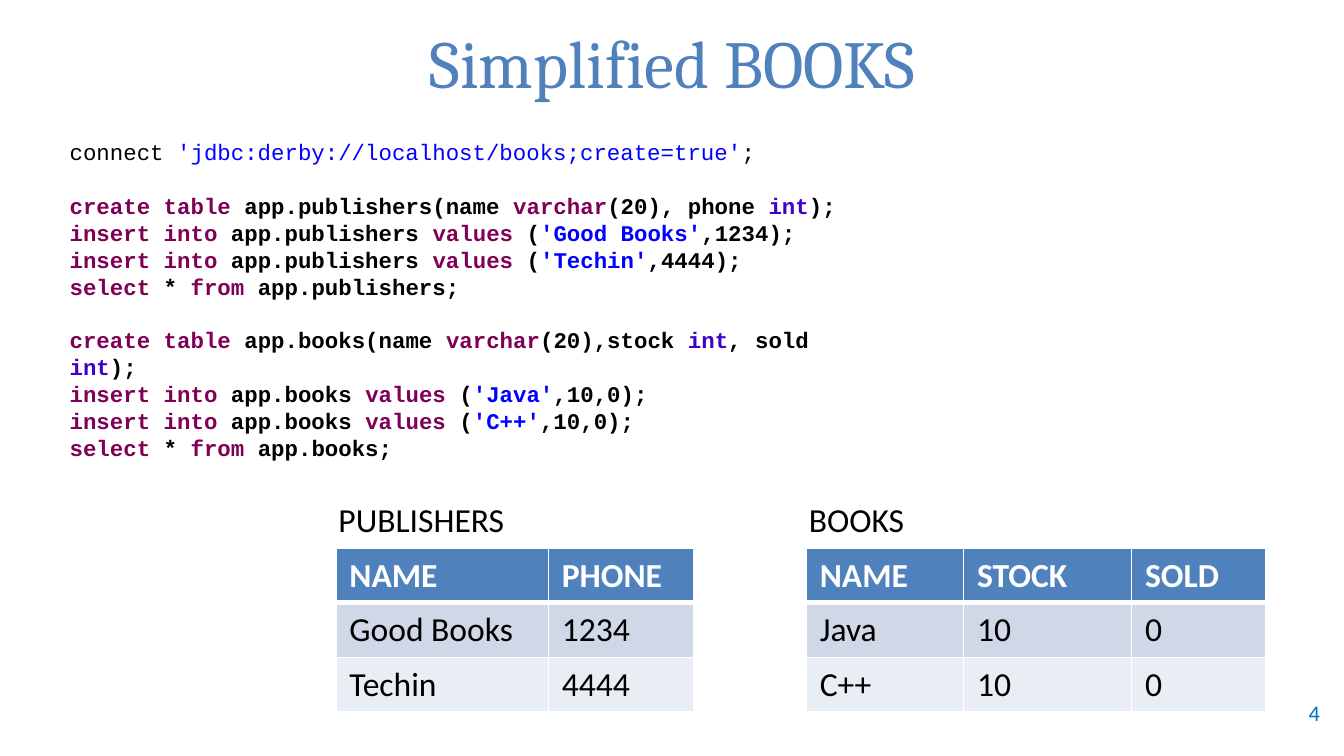
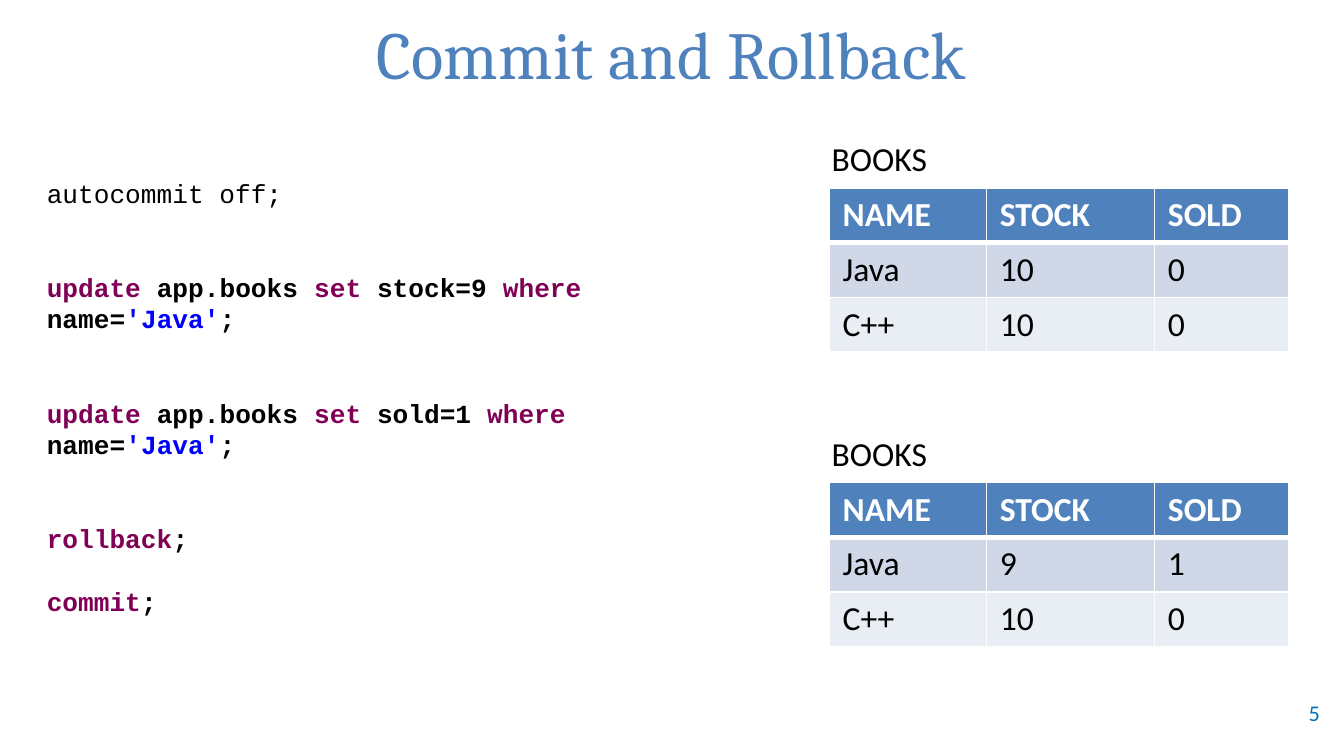
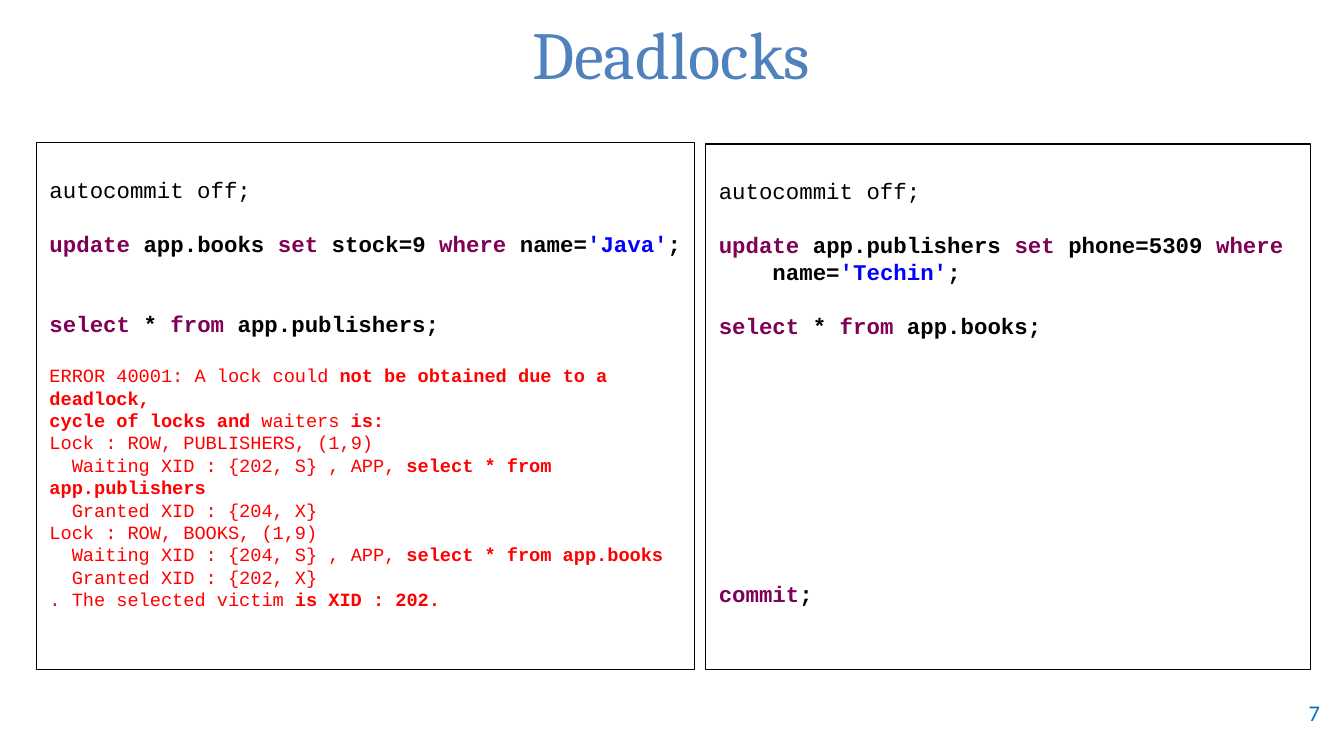
import itertools
import pptx
import pptx.util
import pptx.dml.color
import pptx.enum.shapes
import pptx.enum.text
import pptx.oxml
import pptx.oxml.ns

Inches, Pt = pptx.util.Inches, pptx.util.Pt
RGB = pptx.dml.color.RGBColor
ALIGN = pptx.enum.text.PP_ALIGN
MIDDLE = pptx.enum.text.MSO_ANCHOR.MIDDLE

# Colours and fonts
BLUE = RGB(0x4F, 0x81, 0xBD)
PAGE = RGB(0x00, 0x70, 0xC0)
BLACK = RGB(0, 0, 0)
WHITE = RGB(255, 255, 255)
RED = RGB(255, 0, 0)
STRING = RGB(0, 0, 255)
VERB = RGB(0x7F, 0x00, 0x55)
TYPE = RGB(0x40, 0x00, 0xC8)
BANDS = [RGB(0xD0, 0xD8, 0xE8), RGB(0xE9, 0xED, 0xF4)]
HEAD, BODY, MONO = "Cambria", "Calibri", "Courier New"

VERBS = set("create table varchar insert into values select from "
            "update set where rollback commit".split())
PLAIN = ("connect", "autocommit")
LEAD = 1.2   # line height over type size
TALL = 1.22  # height of a table

# Tables: label, label width, column widths, rows
STOCK = {"name": "BOOKS", "wide": 1.33, "cols": [1.17, 1.25, 1],
         "rows": [("NAME", "STOCK", "SOLD"), ("Java", "10", "0"), ("C++", "10", "0")]}
SOLD = {**STOCK, "rows": [STOCK["rows"][0], ("Java", "9", "1"), ("C++", "10", "0")]}
FIRMS = {"name": "PUBLISHERS", "wide": 1.75, "cols": [1.58, 1.08],
         "rows": [("NAME", "PHONE"), ("Good Books", "1234"), ("Techin", "4444")]}

# Code: (empty lines above, line)
SETUP = [
    (0, "connect 'jdbc:derby://localhost/books;create=true';"),
    (1, "create table app.publishers(name varchar(20), phone int);"),
    (0, "insert into app.publishers values ('Good Books',1234);"),
    (0, "insert into app.publishers values ('Techin',4444);"),
    (0, "select * from app.publishers;"),
    (1, "create table app.books(name varchar(20),stock int, sold int);"),
    (0, "insert into app.books values ('Java',10,0);"),
    (0, "insert into app.books values ('C++',10,0);"),
    (0, "select * from app.books;"),
]
SALE = [
    (0, "autocommit off;"),
    (2, "update app.books set stock=9 where name='Java';"),
    (2, "update app.books set sold=1 where name='Java';"),
    (2, "rollback;"),
    (1, "commit;"),
]
LEFT = [
    (0, "autocommit off;"),
    (1, "update app.books set stock=9 where name='Java';"),
    (2, "select * from app.publishers;"),
]
RIGHT = [
    (0, "autocommit off;"),
    (1, "update app.publishers set phone=5309 where"),
    (0, "    name='Techin';"),
    (1, "select * from app.books;"),
    (9, "commit;"),
]
# A bar switches bold on and off
ERROR = [
    "ERROR 40001: A lock could |not be obtained due to a deadlock,",
    "|cycle of locks and |waiters |is:",
    "Lock : ROW, PUBLISHERS, (1,9)",
    "  Waiting XID : {202, S} , APP, |select * from app.publishers",
    "  Granted XID : {204, X}",
    "Lock : ROW, BOOKS, (1,9)",
    "  Waiting XID : {204, S} , APP, |select * from app.books",
    "  Granted XID : {202, X}",
    ". The selected victim |is XID : 202.",
]

# Slides: boxes are (place, code, type size, empty top lines, framed, error lines)
SLIDES = [
    {"title": "Simplified BOOKS", "place": (0.17, 0.12, 9.67, 0.67), "page": "4",
     "boxes": [((0.42, 0.98, 6.17, 2.32), SETUP, 12, 0, False, [])],
     "tables": [(2.5, 4.08, FIRMS), (6, 4.08, STOCK)]},
    {"title": "Commit and Rollback", "place": (0.08, 0.06, 9.83, 0.67), "page": "5",
     "boxes": [((0.25, 1.07, 5.33, 3.16), SALE, 14, 1, False, [])],
     "tables": [(6.17, 1.4, STOCK), (6.17, 3.59, SOLD)]},
    {"title": "Deadlocks", "place": (0.08, 0.06, 9.83, 0.67), "page": "7",
     "boxes": [((0.27, 1.06, 4.9, 3.92), LEFT, 12, 1, True, ERROR),
               ((5.25, 1.07, 4.5, 3.91), RIGHT, 12, 1, True, [])],
     "tables": []},
]


def put(para, text, size=18, font=BODY, color=BLACK, bold=False, align=ALIGN.LEFT):
    """Add one formatted run to a paragraph."""
    para.alignment = align
    run = para.add_run()
    run.text = text
    run.font.size, run.font.name, run.font.bold = Pt(size), font, bold
    run.font.color.rgb = color


def add_text(slide, place):
    box = slide.shapes.add_textbox(*map(Inches, place))
    box.text_frame.word_wrap = True
    return box.text_frame


def parts(line):
    """Split a line of SQL into (text, colour) parts."""
    for i, piece in enumerate(line.split("'")):
        if i % 2:
            yield f"'{piece}'", STRING
            continue
        tokens = ["".join(g) for _, g in itertools.groupby(piece, str.isalpha)]
        paint = lambda t: VERB if t in VERBS else TYPE if t == "int" else BLACK
        for color, group in itertools.groupby(tokens, paint):
            yield "".join(group), color


def next_para(frame, size, gap=0):
    """Start a code line with a gap in points above it."""
    first = frame.paragraphs[0]
    para = frame.add_paragraph() if first.runs else first
    para.line_spacing = Pt(size * LEAD)
    para.space_before = Pt(gap)
    return para


def add_code(slide, place, code, size, top, framed, errors):
    if framed:
        box = slide.shapes.add_shape(pptx.enum.shapes.MSO_SHAPE.RECTANGLE,
                                     *map(Inches, place))
        box.shadow.inherit = False
        box.fill.background()
        box.line.color.rgb, box.line.width = BLACK, Pt(0.75)
        frame = box.text_frame
        frame.word_wrap = True
        frame.vertical_anchor = pptx.enum.text.MSO_ANCHOR.TOP
    else:
        frame = add_text(slide, place)
    frame.margin_top = Inches(0.05 + top * 0.2)
    frame.margin_right = Inches(0.08)
    for gap, line in code:
        para = next_para(frame, size, gap * size * LEAD)
        for text, color in parts(line):
            put(para, text, size=size, font=MONO, color=color,
                bold=not line.startswith(PLAIN))
    for i, line in enumerate(errors):
        para = next_para(frame, 10, 0 if i else size * LEAD)
        for j, text in enumerate(line.split("|")):
            if text:
                put(para, text, size=10, font=MONO, color=RED, bold=j % 2 == 1)


def edge(cell, side, width):
    """Draw one white cell border."""
    cell._tc.get_or_add_tcPr().append(pptx.oxml.parse_xml(
        f'<a:ln{side} {pptx.oxml.ns.nsdecls("a")} w="{Pt(width)}"><a:solidFill>'
        f'<a:srgbClr val="{WHITE}"/></a:solidFill></a:ln{side}>'))


def add_table(slide, left, top, data):
    rows, cols = data["rows"], data["cols"]
    label = add_text(slide, (left - 0.08, top - 0.42, data["wide"], 0.42))
    put(label.paragraphs[0], data["name"])
    size = map(Inches, (left, top, sum(cols), TALL))
    table = slide.shapes.add_table(len(rows), len(cols), *size).table
    for col, width in zip(table.columns, cols):
        col.width = Inches(width)
    for r, row in enumerate(rows):
        table.rows[r].height = Inches(TALL / len(rows))
        for c, text in enumerate(row):
            cell = table.cell(r, c)
            for side in "LRTB":
                edge(cell, side, 3 if (r, side) in ((0, "B"), (1, "T")) else 1)
            cell.fill.solid()
            cell.fill.fore_color.rgb = BANDS[(r - 1) % 2] if r else BLUE
            put(cell.text_frame.paragraphs[0], text,
                color=BLACK if r else WHITE, bold=r == 0)


def add_slide(deck, data):
    slide = deck.slides.add_slide(deck.slide_layouts[5])
    # Title
    title = slide.shapes.title
    title.left, title.top, title.width, title.height = map(Inches, data["place"])
    title.text_frame.auto_size = pptx.enum.text.MSO_AUTO_SIZE.NONE
    title.text_frame.vertical_anchor = MIDDLE
    put(title.text_frame.paragraphs[0], data["title"], size=36, font=HEAD,
        color=BLUE, align=ALIGN.CENTER)
    # Page number
    page = add_text(slide, (9.25, 5.15, 0.67, 0.3))
    page.vertical_anchor = MIDDLE
    put(page.paragraphs[0], data["page"], size=12, color=PAGE, align=ALIGN.RIGHT)
    # Code and tables
    for box in data["boxes"]:
        add_code(slide, *box)
    for table in data["tables"]:
        add_table(slide, *table)


def main():
    deck = pptx.Presentation()
    deck.slide_width = Inches(10)
    deck.slide_height = Inches(10 * 9 / 16)
    for data in SLIDES:
        add_slide(deck, data)
    deck.save("out.pptx")


if __name__ == "__main__":
    main()
